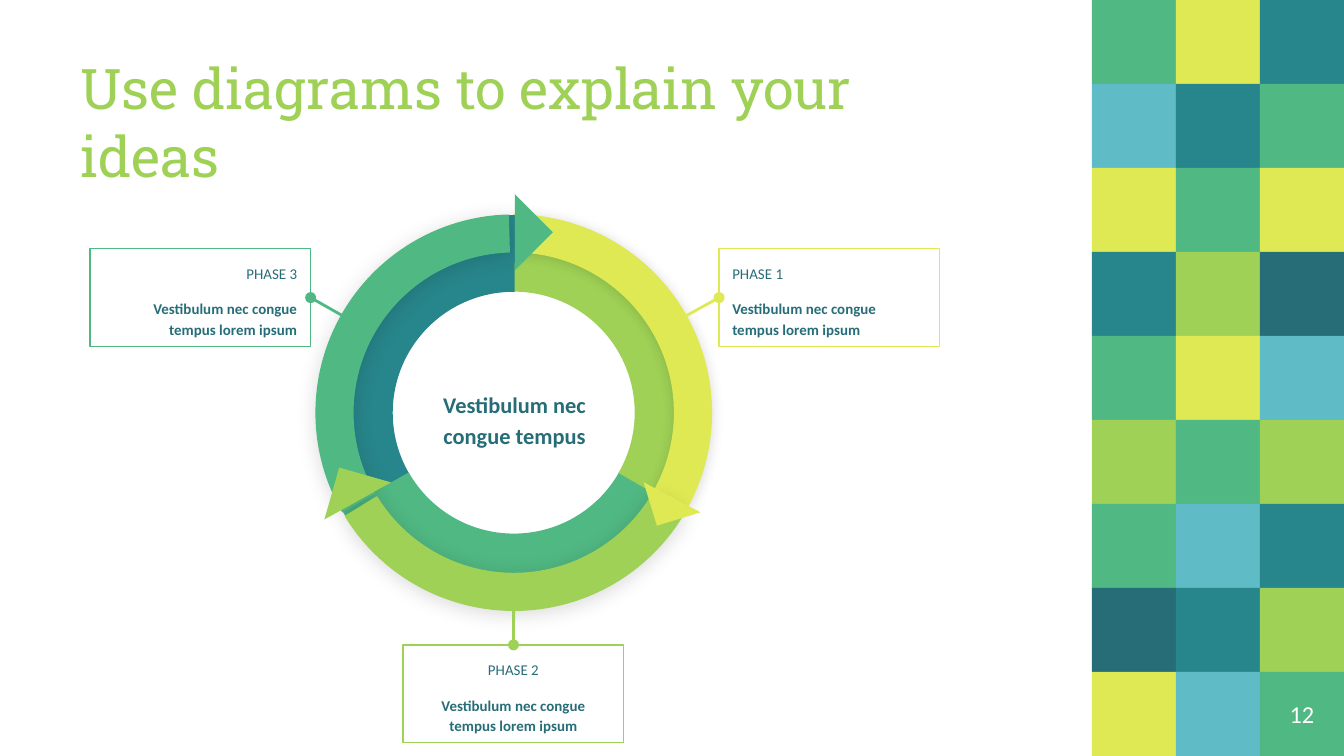
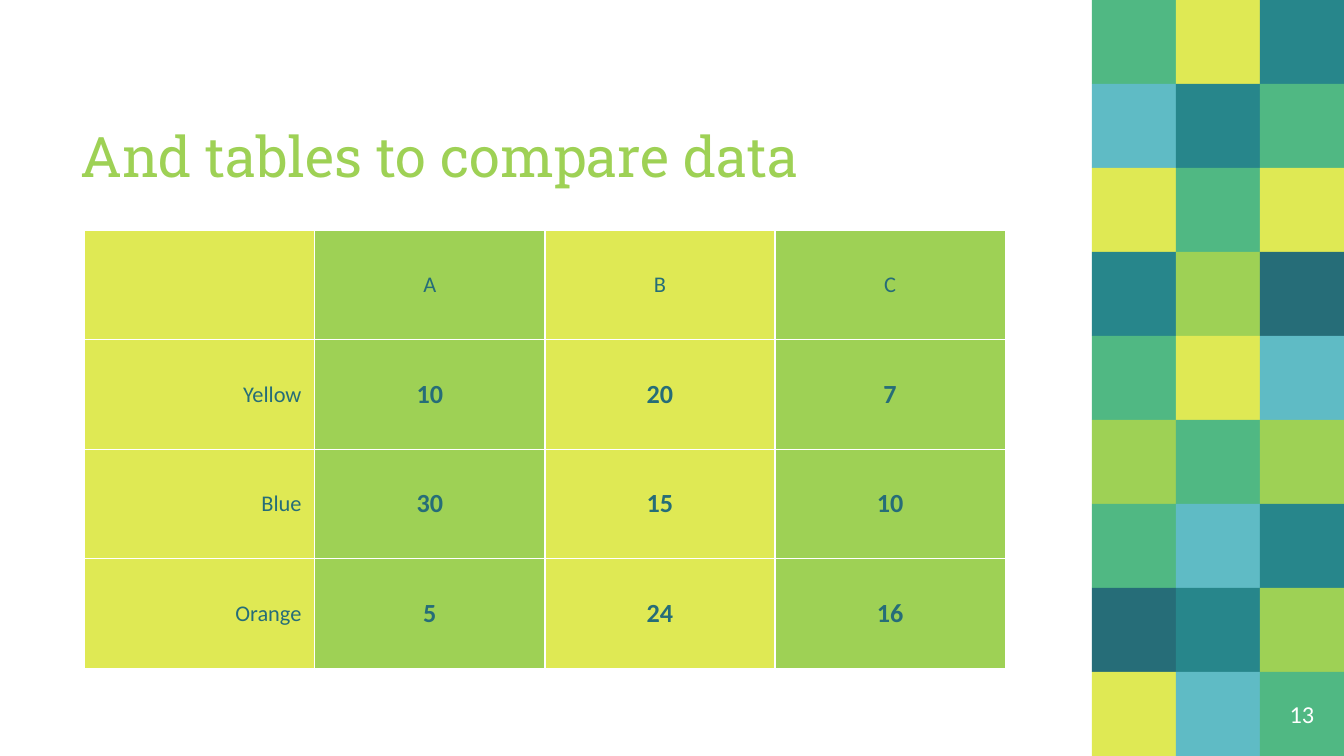
from lxml import etree
from pptx import Presentation
from pptx.dml.color import RGBColor
from pptx.enum.shapes import MSO_CONNECTOR, MSO_SHAPE
from pptx.enum.text import MSO_ANCHOR, PP_ALIGN
from pptx.oxml.ns import qn
from pptx.util import Cm, Pt

RECT, ARC, TRIANGLE = MSO_SHAPE.RECTANGLE, MSO_SHAPE.BLOCK_ARC, MSO_SHAPE.RIGHT_TRIANGLE
STRAIGHT = MSO_CONNECTOR.STRAIGHT
LEFT, CENTER, RIGHT = PP_ALIGN.LEFT, PP_ALIGN.CENTER, PP_ALIGN.RIGHT
TOP, MIDDLE, BOTTOM = MSO_ANCHOR.TOP, MSO_ANCHOR.MIDDLE, MSO_ANCHOR.BOTTOM

LIME, YELLOW, GREEN = "9ED155", "DFE954", "50B883"
TEAL, NAVY, SKY, WHITE = "27868B", "266D78", "5FBBC5", "FFFFFF"
TITLE_FONT, BODY_FONT = "Roboto Slab", "Calibri"

WIDTH, HEIGHT = 25.4, 14.29
TILE = HEIGHT / 9
MOSAIC_LEFT = WIDTH - 3 * TILE
MOSAIC = [
    (GREEN, YELLOW, TEAL),
    (SKY, TEAL, GREEN),
    (YELLOW, GREEN, YELLOW),
    (TEAL, LIME, NAVY),
    (GREEN, YELLOW, SKY),
    (LIME, GREEN, LIME),
    (GREEN, SKY, TEAL),
    (NAVY, TEAL, LIME),
    (YELLOW, SKY, GREEN),
]

RING_X, RING_Y, RING_SIZE = 9.71, 7.8, 7.47
INNER, OUTER = 0.194, 0.093
PHASE_W, PHASE_H = 4.17, 1.85
PHASE_TEXT = "Vestibulum nec congue tempus lorem ipsum"


def rgb(color):
    """Turn a hex string into a colour."""
    return RGBColor.from_string(color)


def set_font(p, size, color, name=BODY_FONT, bold=False):
    """Set the font of a paragraph."""
    p.font.size, p.font.name, p.font.bold = Pt(size), name, bold
    p.font.color.rgb = rgb(color)


def set_frame(tf, anchor):
    """Wrap a text frame, with equal margins and the given anchor."""
    tf.word_wrap = True
    tf.vertical_anchor = anchor
    tf.margin_left = tf.margin_right = tf.margin_top = tf.margin_bottom = Cm(0.25)


def add_shape(s, kind, x, y, w, h, fill=None, line=None):
    """Add a flat preset shape."""
    sp = s.shapes.add_shape(kind, Cm(x), Cm(y), Cm(w), Cm(h))
    sp.shadow.inherit = False
    if fill:
        sp.fill.solid()
        sp.fill.fore_color.rgb = rgb(fill)
    else:
        sp.fill.background()
    if line:
        sp.line.color.rgb = rgb(line)
        sp.line.width = Pt(0.75)
    else:
        sp.line.fill.background()
    return sp


def add_text(s, x, y, w, h, text, size, color, anchor=MIDDLE, align=CENTER,
             name=BODY_FONT, bold=False, spacing=1.0):
    """Add a text box with one paragraph."""
    tf = s.shapes.add_textbox(Cm(x), Cm(y), Cm(w), Cm(h)).text_frame
    set_frame(tf, anchor)
    p = tf.paragraphs[0]
    p.text, p.alignment, p.line_spacing = text, align, spacing
    set_font(p, size, color, name, bold)


def add_slide(prs, title, number):
    """Add a slide with its mosaic, title and number."""
    s = prs.slides.add_slide(prs.slide_layouts[6])
    for row, colors in enumerate(MOSAIC):
        for col, color in enumerate(colors):
            add_shape(s, RECT, MOSAIC_LEFT + col * TILE, row * TILE, TILE, TILE, color)
    add_text(s, 1.27, 1.42, 17.81, 2.39, title, 30, LIME, BOTTOM, LEFT, TITLE_FONT)
    add_text(s, WIDTH - TILE, HEIGHT - TILE, TILE, TILE, str(number), 13, WHITE)
    return s


def add_shadow(sp, blur, distance):
    """Give a shape a soft shadow below it."""
    effects = sp._element.spPr.find(qn("a:effectLst"))
    shadow = etree.SubElement(effects, qn("a:outerShdw"), blurRad=str(Pt(blur)),
                              dist=str(Pt(distance)), dir="5400000", rotWithShape="0")
    color = etree.SubElement(shadow, qn("a:srgbClr"), val="000000")
    etree.SubElement(color, qn("a:alpha"), val="15000")


def add_arc(s, rotation, thickness, color, line=None):
    """Add a third of the ring, turned to its place."""
    corner = RING_SIZE / 2
    sp = add_shape(s, ARC, RING_X - corner, RING_Y - corner, RING_SIZE, RING_SIZE, color, line)
    end = 358.4 if line else 0.4
    for i, value in enumerate((240 * 0.6, end * 0.6, thickness)):
        sp.adjustments[i] = value
    sp.rotation = rotation
    return sp


def add_arrow_tip(s, x, y, size, rotation, color):
    """Add the triangle that ends an arc, given its centre."""
    sp = add_shape(s, TRIANGLE, x - size / 2, y - size / 2, size, size, color)
    sp.rotation = rotation


def add_phase(s, name, x, y, align, color, side, end):
    """Add a phase box and the line that joins it to the ring."""
    box = add_shape(s, RECT, x, y, PHASE_W, PHASE_H, line=color)
    tf = box.text_frame
    set_frame(tf, TOP)
    tf.text = f"{name}\n{PHASE_TEXT}"
    for p, bold in zip(tf.paragraphs, (False, True)):
        p.alignment, p.line_spacing = align, 1.15
        set_font(p, 8, NAVY, bold=bold)
    tf.paragraphs[1].space_before = Pt(8)

    end_x, end_y = end
    cx = s.shapes.add_connector(STRAIGHT, Cm(x), Cm(y), Cm(end_x), Cm(end_y))
    cx.begin_connect(box, side)
    cx.line.color.rgb = rgb(color)
    cx.line.width = Pt(1.5)
    etree.SubElement(cx.line._get_or_add_ln(), qn("a:headEnd"), type="oval")
    etree.SubElement(cx._element.spPr, qn("a:effectLst"))


def set_borders(cell, color, width):
    """Draw all four borders of a table cell."""
    tcPr = cell._tc.get_or_add_tcPr()
    for i, side in enumerate(("a:lnL", "a:lnR", "a:lnT", "a:lnB")):
        ln = etree.Element(qn(side), w=str(Pt(width)))
        fill = etree.SubElement(ln, qn("a:solidFill"))
        etree.SubElement(fill, qn("a:srgbClr"), val=color)
        tcPr.insert(i, ln)


def add_table(s, x, y, col_width, row_height, rows):
    """Add a table whose columns alternate in colour."""
    n_rows, n_cols = len(rows), len(rows[0])
    table = s.shapes.add_table(n_rows, n_cols, Cm(x), Cm(y), Cm(col_width * n_cols),
                               Cm(row_height * n_rows)).table
    table.first_row = table.horz_banding = False
    for r, values in enumerate(rows):
        for c, value in enumerate(values):
            cell = table.cell(r, c)
            cell.fill.solid()
            cell.fill.fore_color.rgb = rgb(LIME if c % 2 else YELLOW)
            cell.vertical_anchor = MIDDLE
            cell.margin_left = cell.margin_right = Cm(0.25)
            cell.margin_top = cell.margin_bottom = Cm(0.18)
            set_borders(cell, WHITE, 0.75)
            is_number = r > 0 and c > 0
            p = cell.text_frame.paragraphs[0]
            p.text = value
            p.alignment = CENTER if c else RIGHT
            set_font(p, 14 if is_number else 12, NAVY, bold=is_number)


def build_diagram(prs):
    """Build the slide with the three-phase cycle."""
    s = add_slide(prs, "Use diagrams to explain your ideas", 12)
    add_text(s, 7.72, 6.78, 4.01, 2.24, "Vestibulum nec congue tempus", 12, NAVY,
             bold=True, spacing=1.15)

    right, bottom, left = 30, 150, 270
    add_arc(s, right, INNER, LIME)
    add_shadow(add_arc(s, right, OUTER, YELLOW, YELLOW), 6.8, 0.8)
    add_arc(s, left, INNER, TEAL)
    add_arc(s, bottom, INNER, GREEN)
    for rotation, color in ((left, GREEN), (bottom, LIME)):
        add_shadow(add_arc(s, rotation, OUTER, color, color), 11.2, 1.5)

    add_arrow_tip(s, 6.76, 9.47, 1.02, 106, LIME)
    add_arrow_tip(s, 12.7, 9.4, 0.86, 342.9, YELLOW)
    add_arrow_tip(s, 9.73, 4.39, 1.02, 225, GREEN)

    add_phase(s, "PHASE 3", 1.7, 4.7, RIGHT, GREEN, 3, (7.06, 6.3))
    add_phase(s, "PHASE 1", 13.59, 4.7, LEFT, YELLOW, 1, (12.37, 6.3))
    add_phase(s, "PHASE 2", 7.62, 12.19, CENTER, LIME, 0, (9.71, 10.87))


def build_comparison(prs):
    """Build the slide with the table."""
    s = add_slide(prs, "And tables to compare data", 13)
    add_table(s, 1.6, 4.35, 4.35, 2.07, [
        ("", "A", "B", "C"),
        ("Yellow", "10", "20", "7"),
        ("Blue", "30", "15", "10"),
        ("Orange", "5", "24", "16"),
    ])


def main():
    """Build and save the presentation."""
    prs = Presentation()
    prs.slide_width, prs.slide_height = Cm(WIDTH), Cm(HEIGHT)
    build_diagram(prs)
    build_comparison(prs)
    prs.save("out.pptx")


if __name__ == "__main__":
    main()
